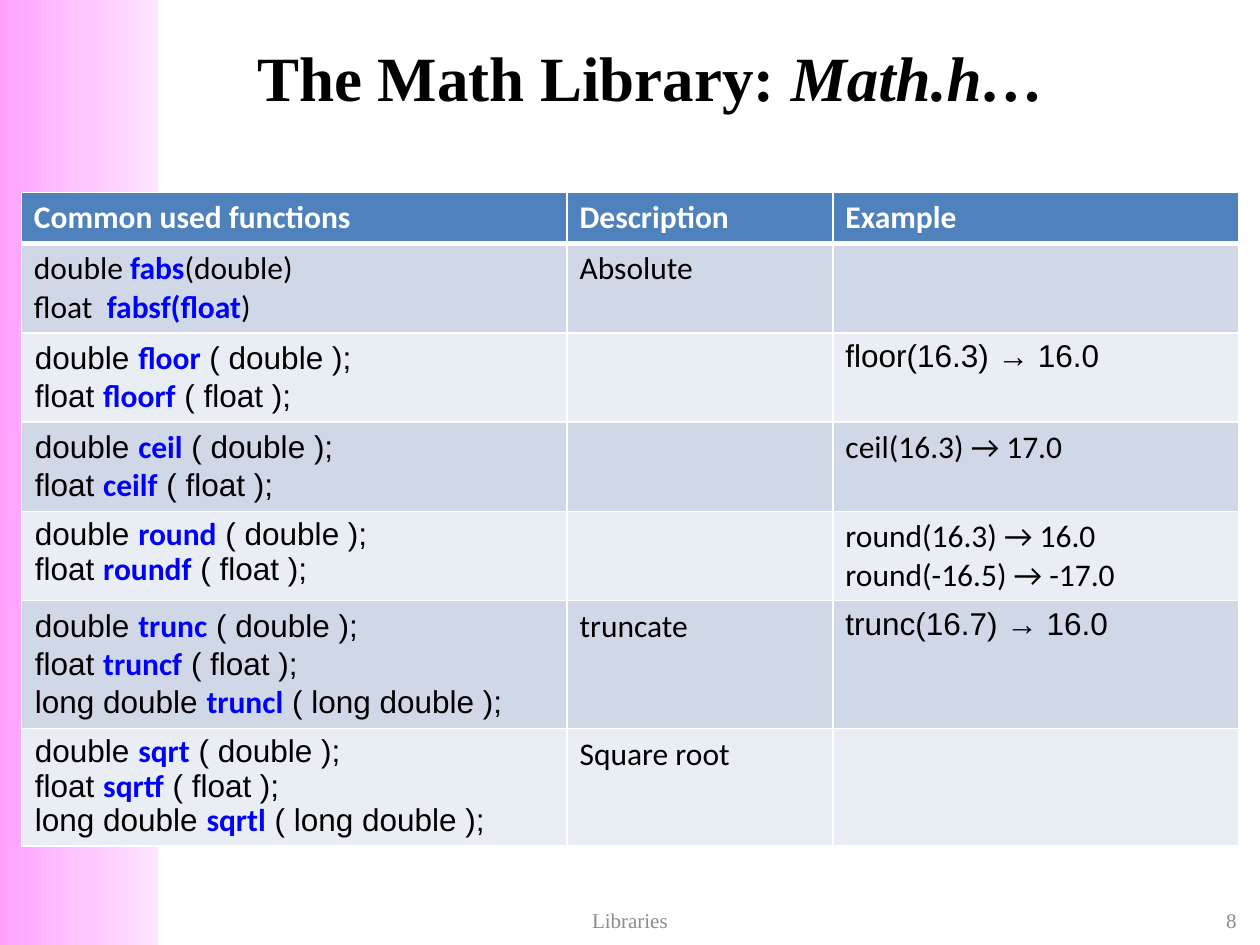
from copy import deepcopy

from lxml import etree
from pptx import Presentation
from pptx.dml.color import RGBColor
from pptx.enum import shapes, text
from pptx.oxml import ns
from pptx.util import Cm, Pt

BLACK = RGBColor(0x00, 0x00, 0x00)
WHITE = RGBColor(0xFF, 0xFF, 0xFF)
GREY = RGBColor(0x8C, 0x8C, 0x8C)
NAME_BLUE = RGBColor(0x00, 0x00, 0xFF)
HEADER_BLUE = RGBColor(0x4F, 0x81, 0xBD)
ROW_TINTS = [RGBColor(0xD0, 0xD8, 0xE8), RGBColor(0xE9, 0xED, 0xF4)]
PINKS = [RGBColor(0xFF, 0xA0, 0xFF), RGBColor(0xFF, 0xC5, 0xFF), RGBColor(0xFF, 0xE3, 0xFF)]
SERIF, SANS, ARIAL = "Times New Roman", "Calibri", "Arial"

HEADINGS = ["Common used functions", "Description", "Example"]
COLUMN_WIDTHS = [11, 5.36, 8.18]
HEADER_HEIGHT = 1.03


def prototypes(name, *kinds):
    """Return the float, double and long double signatures of a function."""
    suffixes = {"double": "", "float": "f", "long double": "l"}
    return [(f"{kind} ", name + suffixes[kind], f" ( {kind} );") for kind in kinds]


FABS = [("double ", "fabs", "(double)"), ("float  ", "fabsf(float", ")")]
PAIR = ("double", "float")
TRIO = PAIR + ("long double",)
J, L = text.PP_ALIGN.JUSTIFY, None

# signatures, their font, alignment, line spacing, description, example, its font, row height
ROWS = [
    (FABS, SANS, L, None, "Absolute", "", SANS, 1.8),
    (prototypes("floor", *PAIR), ARIAL, J, None, "", "floor(16.3) → 16.0", ARIAL, 1.8),
    (prototypes("ceil", *PAIR), ARIAL, J, None, "", "ceil(16.3) → 17.0", SANS, 1.8),
    (prototypes("round", *PAIR), ARIAL, L, 0.9, "",
     "round(16.3) → 16.0\nround(-16.5) → -17.0", SANS, 1.8),
    (prototypes("trunc", *TRIO), ARIAL, J, None, "truncate", "trunc(16.7) → 16.0", ARIAL, 2.58),
    (prototypes("sqrt", *TRIO), ARIAL, J, 0.9, "Square root", "", SANS, 2.36),
]


def style(font, face, size, color, bold=False, italic=False):
    """Set the look of a font."""
    font.name, font.size, font.bold, font.italic = face, Pt(size), bold, italic
    font.color.rgb = color


def add_side_band(slide):
    """Place the pink gradient band behind everything at the left edge."""
    band = slide.shapes.add_shape(shapes.MSO_SHAPE.RECTANGLE, 0, 0, Cm(3.18), Cm(19.05))
    band.shadow.inherit = False
    band.line.fill.background()
    band.fill.gradient()
    band.fill.gradient_angle = 0
    first = band.fill._fill._gradFill.gsLst[0]
    first.addnext(deepcopy(first))
    for stop, position, pink in zip(band.fill.gradient_stops, (0, 0.5, 1), PINKS):
        stop.position = position
        stop.color.rgb = pink
    slide.shapes._spTree.insert(2, band._element)


def set_title(slide):
    """Move and format the title."""
    title = slide.shapes.title
    title.left, title.top, title.width, title.height = Cm(2.11), Cm(0.76), Cm(22.02), Cm(1.57)
    title.text_frame.vertical_anchor = text.MSO_ANCHOR.MIDDLE
    line = title.text_frame.paragraphs[0]
    line.alignment = text.PP_ALIGN.CENTER
    for words, italic in (("The Math Library: ", False), ("Math.h…", True)):
        run = line.add_run()
        run.text = words
        style(run.font, SERIF, 36, BLACK, bold=True, italic=italic)


def add_footer(slide, words, left, width, alignment):
    """Add one grey footer text."""
    frame = slide.shapes.add_textbox(Cm(left), Cm(18.21), Cm(width), Cm(0.69)).text_frame
    frame.word_wrap = True
    frame.vertical_anchor = text.MSO_ANCHOR.MIDDLE
    frame.text = words
    frame.paragraphs[0].alignment = alignment
    style(frame.paragraphs[0].runs[0].font, SERIF, 12, GREY)


def format_cell(cell, color, top=1, bottom=1):
    """Give a cell its white borders and its fill."""
    properties = cell._tc.get_or_add_tcPr()
    for side, points in (("L", 1), ("R", 1), ("T", top), ("B", bottom)):
        border = etree.SubElement(properties, ns.qn(f"a:ln{side}"), w=str(Pt(points)))
        solid = etree.SubElement(border, ns.qn("a:solidFill"))
        etree.SubElement(solid, ns.qn("a:srgbClr"), val=str(WHITE))
    cell.fill.solid()
    cell.fill.fore_color.rgb = color


def write_plain(cell, words, face, color=BLACK, bold=False):
    """Write a cell in a single style."""
    cell.text_frame.text = words
    for paragraph in cell.text_frame.paragraphs:
        style(paragraph.font, face, 18, color, bold)
        for run in paragraph.runs:
            style(run.font, face, 18, color, bold)


def write_signatures(cell, signatures, face, alignment, spacing):
    """Write one signature a line with the function name in bold blue."""
    frame = cell.text_frame
    for index, parts in enumerate(signatures):
        line = frame.add_paragraph() if index else frame.paragraphs[0]
        line.alignment, line.line_spacing = alignment, spacing
        if face == ARIAL:
            line.level = 1
            margins = line._p.get_or_add_pPr()
            margins.set("marL", str(Cm(0.02)))
            margins.set("indent", "0")
        for part, is_name in zip(parts, (False, True, False)):
            run = line.add_run()
            run.text = part
            style(run.font, SANS if is_name else face, 18,
                  NAME_BLUE if is_name else BLACK, bold=is_name)


def add_function_table(slide):
    """Add the table of math functions."""
    heights = [HEADER_HEIGHT] + [row[-1] for row in ROWS]
    table = slide.shapes.add_table(len(heights), len(HEADINGS), Cm(0.43), Cm(3.88),
                                   Cm(sum(COLUMN_WIDTHS)), Cm(sum(heights))).table
    for column, width in zip(table.columns, COLUMN_WIDTHS):
        column.width = Cm(width)
    for row, height in zip(table.rows, heights):
        row.height = Cm(height)
    for cell, heading in zip(table.rows[0].cells, HEADINGS):
        format_cell(cell, HEADER_BLUE, bottom=3)
        write_plain(cell, heading, SANS, WHITE, bold=True)
    for index, content in enumerate(ROWS):
        signatures, face, alignment, spacing, description, example, example_face, _ = content
        cells = list(table.rows[index + 1].cells)
        for cell in cells:
            format_cell(cell, ROW_TINTS[index % 2], top=1 if index else 3)
        write_signatures(cells[0], signatures, face, alignment, spacing)
        write_plain(cells[1], description, SANS)
        write_plain(cells[2], example, example_face)


def main():
    """Build and save the slide."""
    deck = Presentation()
    deck.slide_width, deck.slide_height = Cm(25.4), Cm(19.05)
    slide = deck.slides.add_slide(deck.slide_layouts[5])
    add_side_band(slide)
    set_title(slide)
    add_footer(slide, "8", 19.26, 5.92, text.PP_ALIGN.RIGHT)
    add_footer(slide, "Libraries", 8.68, 8.04, text.PP_ALIGN.CENTER)
    add_function_table(slide)
    deck.save("out.pptx")


if __name__ == "__main__":
    main()
